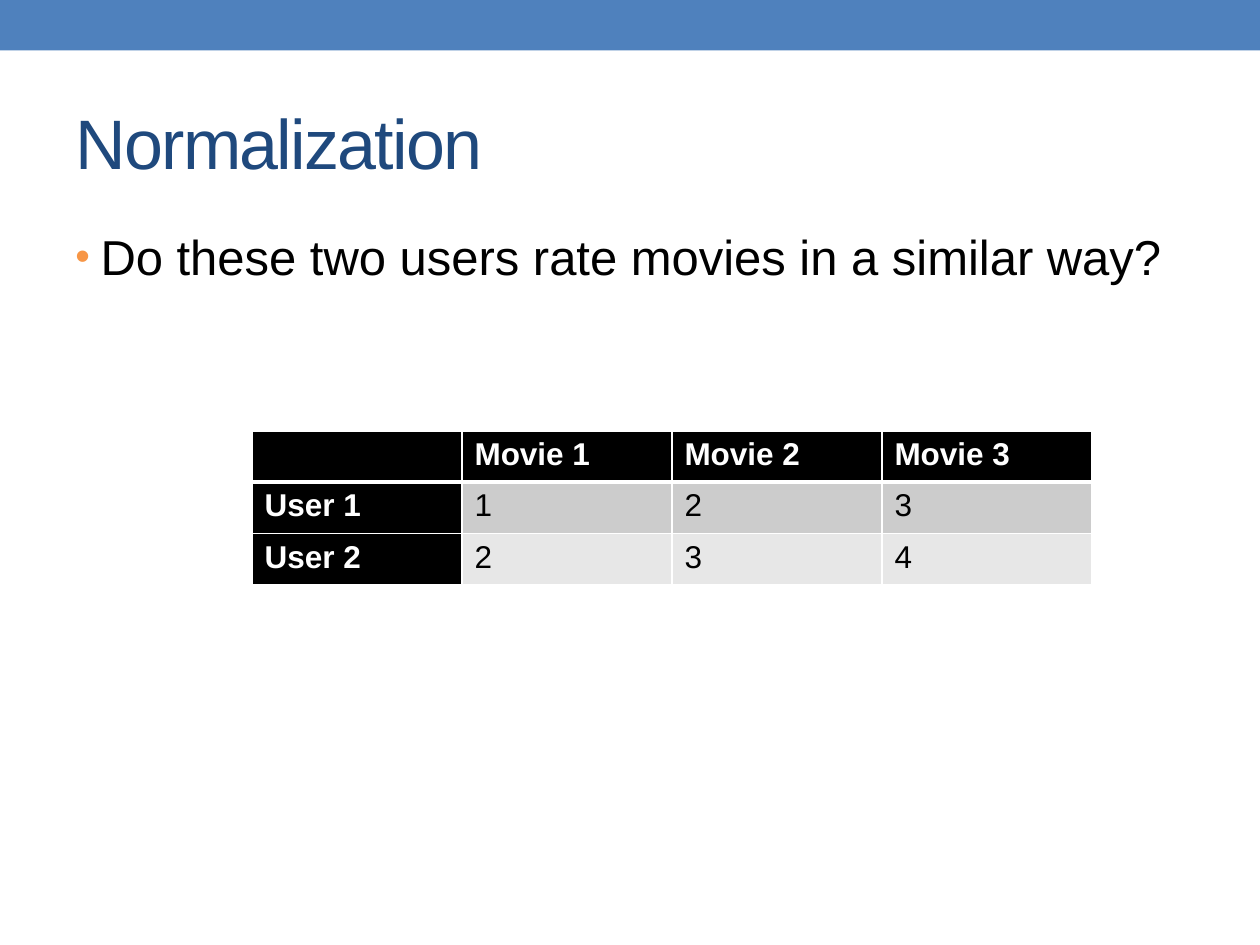
from lxml.etree import SubElement
from pptx import Presentation
from pptx.dml.color import RGBColor
from pptx.enum.shapes import MSO_SHAPE
from pptx.enum.text import MSO_ANCHOR, PP_ALIGN
from pptx.oxml.ns import qn
from pptx.util import Inches, Pt

TITLE = "Normalization"
QUESTION = "Do these two users rate movies in a similar way?"
RATINGS = [
    ["", "Movie 1", "Movie 2", "Movie 3"],
    ["User 1", "1", "2", "3"],
    ["User 2", "2", "3", "4"],
]

BLUE = RGBColor(0x4F, 0x81, 0xBD)
NAVY = RGBColor(0x1F, 0x49, 0x7D)
ORANGE = RGBColor(0xF7, 0x96, 0x46)
BLACK = RGBColor(0, 0, 0)
WHITE = RGBColor(0xFF, 0xFF, 0xFF)
BANDS = [RGBColor(0xE7, 0xE7, 0xE7), RGBColor(0xCC, 0xCC, 0xCC)]

WIDTH, HEIGHT = Inches(10), Inches(7.5)
MARGIN = WIDTH // 20
CONTENT_WIDTH = WIDTH - 2 * MARGIN


def write(frame, text, size, color, bold=False, spacing=None, bullet=None):
    paragraph = frame.paragraphs[0]
    paragraph.alignment = PP_ALIGN.LEFT
    if bullet:
        properties = paragraph._p.get_or_add_pPr()
        properties.set("marL", str(Inches(0.2)))
        properties.set("indent", str(-Inches(0.2)))
        bullet_color = SubElement(properties, qn("a:buClr"))
        SubElement(bullet_color, qn("a:srgbClr"), val=str(bullet))
        SubElement(properties, qn("a:buSzPct"), val="85000")
        SubElement(properties, qn("a:buFont"), typeface="Arial")
        SubElement(properties, qn("a:buChar"), char="•")
    run = paragraph.add_run()
    run.text = text
    run.font.name = "Arial"
    run.font.size = Pt(size)
    run.font.bold = bold
    run.font.color.rgb = color
    if spacing is not None:
        run._r.get_or_add_rPr().set("spc", str(spacing))


def add_borders(cell, **widths):
    properties = cell._tc.get_or_add_tcPr()
    for side in "LRTB":
        line = SubElement(properties, qn(f"a:ln{side}"), w=str(Pt(widths.get(side, 1))))
        fill = SubElement(line, qn("a:solidFill"))
        SubElement(fill, qn("a:srgbClr"), val=str(WHITE))


presentation = Presentation()
presentation.slide_width, presentation.slide_height = WIDTH, HEIGHT
slide = presentation.slides.add_slide(presentation.slide_layouts[5])

banner = slide.shapes.add_shape(MSO_SHAPE.RECTANGLE, 0, 0, WIDTH, Inches(0.4))
banner.shadow.inherit = False
banner.fill.solid()
banner.fill.fore_color.rgb = BLUE
banner.line.fill.background()

title = slide.shapes.title
title.left, title.top, title.width, title.height = MARGIN, Inches(0.58), CONTENT_WIDTH, Inches(1.08)
title.text_frame.vertical_anchor = MSO_ANCHOR.MIDDLE
write(title.text_frame, TITLE, 40, NAVY, spacing=-100)

question = slide.shapes.add_textbox(MARGIN, Inches(1.75), CONTENT_WIDTH, Inches(5.33))
question.text_frame.word_wrap = True
write(question.text_frame, QUESTION, 28, BLACK, bullet=ORANGE)

row_count, column_count = len(RATINGS), len(RATINGS[0])
ratings = slide.shapes.add_table(
    row_count, column_count, WIDTH // 5, Inches(3.42), WIDTH * 2 // 3, Inches(1.22)
).table
ratings.first_col = True

for row, values in enumerate(RATINGS):
    for column, value in enumerate(values):
        cell = ratings.cell(row, column)
        heading = row == 0 or column == 0
        add_borders(cell, T=3 if row == 1 else 1, B=3 if row == 0 else 1)
        cell.fill.solid()
        cell.fill.fore_color.rgb = BLACK if heading else BANDS[row % 2]
        if value:
            write(cell.text_frame, value, 18, WHITE if heading else BLACK, bold=heading)

presentation.save("out.pptx")
